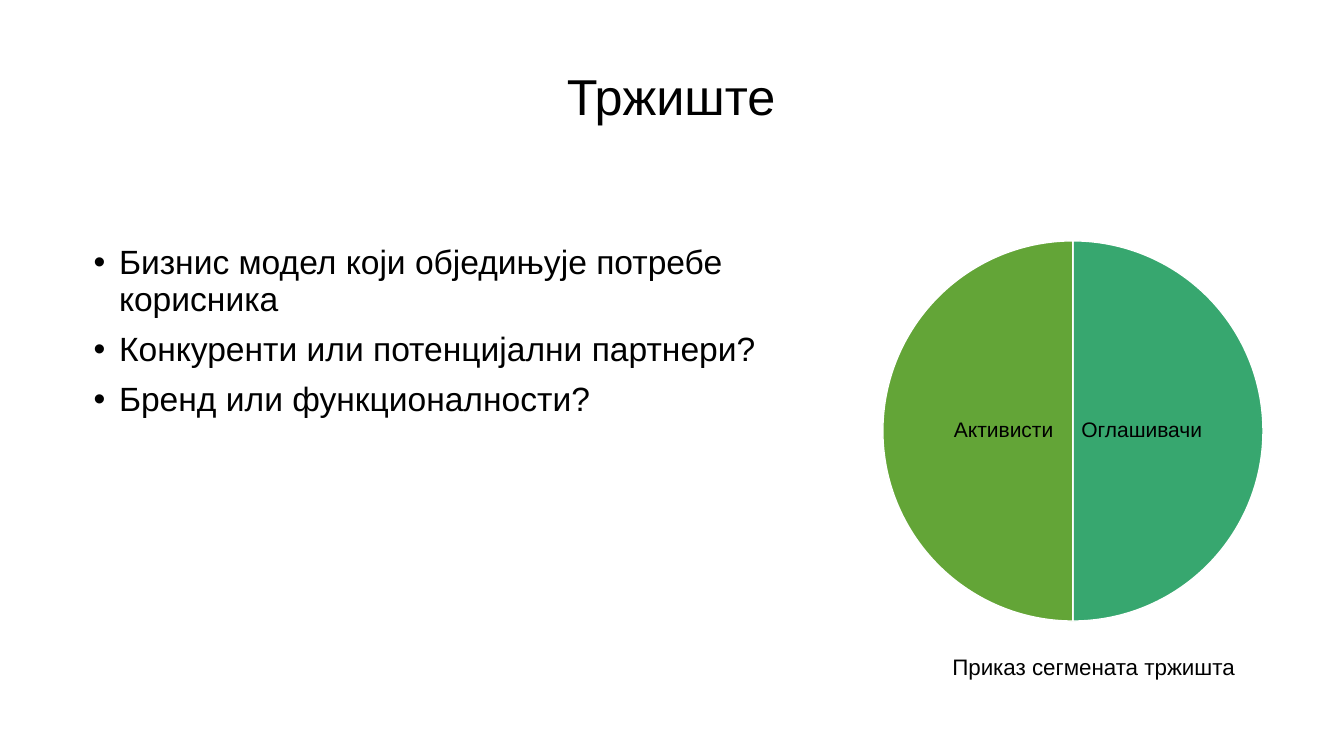
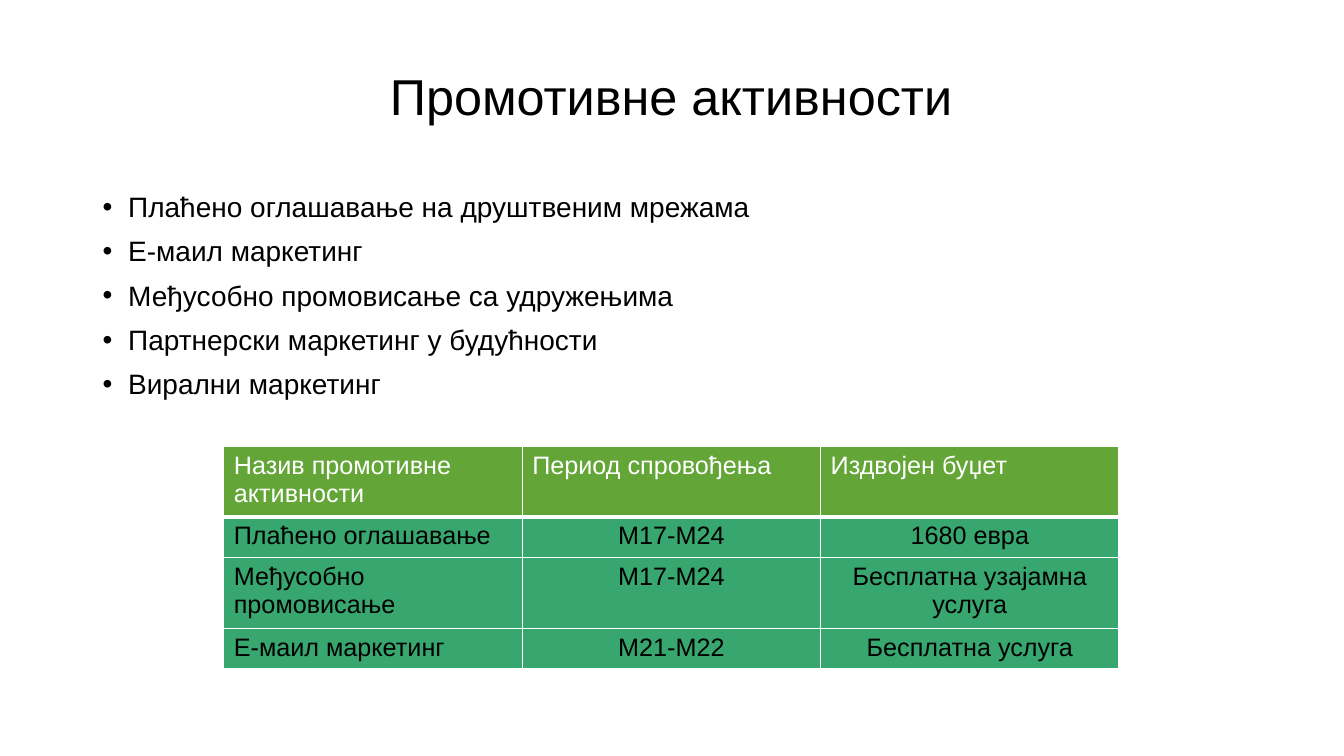
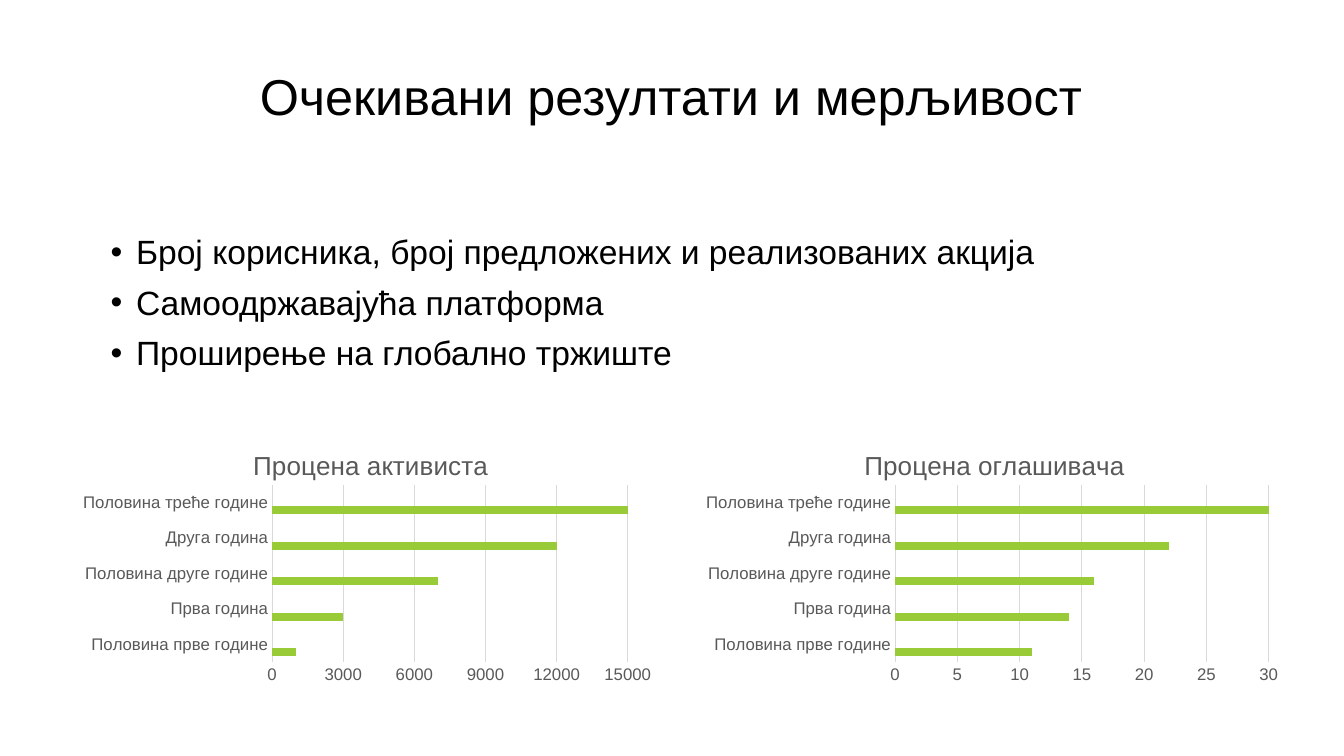
from lxml import etree
from pptx import Presentation, util as u
from pptx.chart.data import CategoryChartData
from pptx.dml.color import RGBColor
from pptx.enum import chart as ch, shapes, text
from pptx.oxml.ns import qn

Cm, Pt = u.Cm, u.Pt

# Shared look
FONT = "Arial"
BLACK = RGBColor(0x00, 0x00, 0x00)
WHITE = RGBColor(0xFF, 0xFF, 0xFF)
LIME = RGBColor(0x99, 0xCB, 0x38)
GREEN = RGBColor(0x63, 0xA5, 0x37)
TEAL = RGBColor(0x37, 0xA7, 0x6F)
AXIS_TEXT = RGBColor(0x59, 0x59, 0x59)
GRID = RGBColor(0xD9, 0xD9, 0xD9)
CENTER = text.PP_ALIGN.CENTER
TITLE_BOX = (2.54, 1.7, 28.75, 3.68)

# Content: title, bullet box (cm), bullet size, bullets
MARKET = ("Тржиште", (2.11, 6.07, 17.98, 10.26), 24, [
    "Бизнис модел који обједињује потребе корисника",
    "Конкуренти или потенцијални партнери?",
    "Бренд или функционалности?",
])
PROMOTION = ("Промотивне активности", (2.34, 4.75, 16.87, 10.26), 20, [
    "Плаћено оглашавање на друштвеним мрежама",
    "Е-маил маркетинг",
    "Међусобно промовисање са удружењима",
    "Партнерски маркетинг у будућности",
    "Вирални маркетинг",
])
RESULTS = ("Очекивани резултати и мерљивост", (2.54, 5.82, 28.75, 10.26), 24, [
    "Број корисника, број предложених и реализованих акција",
    "Самоодржавајућа платформа",
    "Проширење на глобално тржиште",
])

# Label, colour, start and end angle, label left (cm)
SEGMENTS = [
    ("Оглашивачи", TEAL, 162, 54, 27.1),
    ("Активисти", GREEN, 54, 162, 23.62),
]
SEGMENT_CAPTION = "Приказ сегмената тржишта"

CAMPAIGNS = [
    ("Назив промотивне активности", "Период спровођења", "Издвојен буџет"),
    ("Плаћено оглашавање", "М17-М24", "1680 евра"),
    ("Међусобно промовисање", "М17-М24", "Бесплатна узајамна услуга"),
    ("Е-маил маркетинг", "М21-М22", "Бесплатна услуга"),
]
ROW_HEIGHTS = [1.78, 1.02, 1.78, 1.02]
COLUMN_WIDTH = 7.52

PERIODS = ["Половина прве године", "Прва година", "Половина друге године",
           "Друга година", "Половина треће године"]
# Title, title left share, plot width share, values, axis maximum, axis step
FORECASTS = [
    ("Процена активиста", 0.3, 0.6, [1000, 3000, 7000, 12000, 15000], 15000, 3000),
    ("Процена оглашивача", 0.28, 0.63, [11, 14, 16, 22, 30], 30, 5),
]
SERIES_COLORS = [LIME, GREEN, TEAL]


def style_font(font, size, color=BLACK):
    font.name, font.size, font.bold = FONT, Pt(size), False
    font.color.rgb = color


def add_text(slide, box, lines, size, align=None, spacing=None):
    frame = slide.shapes.add_textbox(*map(Cm, box)).text_frame
    frame.word_wrap = True
    frame.text = "\n".join(lines)
    for paragraph in frame.paragraphs:
        paragraph.alignment = align
        paragraph.line_spacing = spacing
        style_font(paragraph.runs[0].font, size)
    return frame


def add_page(deck, title, box, size, bullets):
    slide = deck.slides.add_slide(deck.slide_layouts[6])
    add_text(slide, TITLE_BOX, [title], 36, CENTER, 0.9)
    for paragraph in add_text(slide, box, bullets, size, spacing=0.9).paragraphs:
        paragraph.space_before = Pt(10)
        props = paragraph._p.get_or_add_pPr()
        props.set("marL", str(Cm(0.64)))
        props.set("indent", str(-Cm(0.64)))
        etree.SubElement(props, qn("a:buFont"), typeface=FONT)
        etree.SubElement(props, qn("a:buChar"), char="•")
    return slide


def add_segments(slide):
    for _, color, start, end, _ in SEGMENTS:
        half = slide.shapes.add_shape(shapes.MSO_SHAPE.PIE, Cm(22.25), Cm(6.07),
                                      Cm(9.58), Cm(9.58))
        half.adjustments[0], half.adjustments[1] = start, end
        half.shadow.inherit = False
        half.fill.solid()
        half.fill.fore_color.rgb = color
        half.line.color.rgb = WHITE
        half.line.width = Pt(1)
    for label, _, _, _, left in SEGMENTS:
        frame = add_text(slide, (left, 7.49, 3.35, 6.73), [label], 15, CENTER, 0.9)
        frame.vertical_anchor = text.MSO_ANCHOR.MIDDLE
        frame.margin_left = frame.margin_right = Cm(0.05)
        frame.margin_top = frame.margin_bottom = Cm(0.05)
    add_text(slide, (23.75, 16.33, 8.05, 0.94), [SEGMENT_CAPTION], 16)


def set_borders(cell, top, bottom):
    props = cell._tc.get_or_add_tcPr()
    for side, width in (("L", 1), ("R", 1), ("T", top), ("B", bottom)):
        line = etree.SubElement(props, qn(f"a:ln{side}"), w=str(Pt(width)))
        fill = etree.SubElement(line, qn("a:solidFill"))
        etree.SubElement(fill, qn("a:srgbClr"), val=str(WHITE))


def add_campaigns(slide):
    columns = len(CAMPAIGNS[0])
    table = slide.shapes.add_table(
        len(CAMPAIGNS), columns, Cm(5.64), Cm(11.25),
        Cm(COLUMN_WIDTH * columns), Cm(sum(ROW_HEIGHTS))).table
    table.first_row = table.horz_banding = False
    for column in table.columns:
        column.width = Cm(COLUMN_WIDTH)
    for r, (row, height) in enumerate(zip(CAMPAIGNS, ROW_HEIGHTS)):
        table.rows[r].height = Cm(height)
        for c, value in enumerate(row):
            cell = table.cell(r, c)
            set_borders(cell, 3 if r == 1 else 1, 3 if r == 0 else 1)
            cell.fill.solid()
            cell.fill.fore_color.rgb = TEAL if r else GREEN
            cell.text = value
            paragraph = cell.text_frame.paragraphs[0]
            if r and c:
                paragraph.alignment = CENTER
            style_font(paragraph.runs[0].font, 18, BLACK if r else WHITE)


def place(element, index, inner=False, **shares):
    """Give a chart part a fixed place, as shares of the chart area."""
    for old in element.findall(qn("c:layout")):
        element.remove(old)
    layout = etree.Element(qn("c:layout"))
    element.insert(index, layout)
    manual = etree.SubElement(layout, qn("c:manualLayout"))
    if inner:
        etree.SubElement(manual, qn("c:layoutTarget"), val="inner")
    for axis in "xy":
        etree.SubElement(manual, qn(f"c:{axis}Mode"), val="edge")
    for key, share in shares.items():
        etree.SubElement(manual, qn(f"c:{key}"), val=str(share))


def add_forecast(slide, left, title, title_left, plot_width, values, maximum, step):
    data = CategoryChartData()
    data.categories = PERIODS
    for n in range(len(SERIES_COLORS)):
        data.add_series(f"Series {n + 1}", [None] * len(values) if n else values)
    chart = slide.shapes.add_chart(ch.XL_CHART_TYPE.BAR_CLUSTERED, Cm(left), Cm(10.77),
                                   Cm(14.94), Cm(6.58), data).chart
    style_font(chart.font, 10)
    chart.has_legend = False

    # Title and plot area
    heading = chart.chart_title.text_frame
    heading.text = title
    style_font(heading.paragraphs[0].runs[0].font, 18.6, AXIS_TEXT)
    place(chart.chart_title._element, 1, x=title_left, y=0.06)
    place(chart._chartSpace.find(".//" + qn("c:plotArea")), 0, inner=True,
          x=0.34, y=0.22, w=plot_width, h=0.68)

    # Bars
    plot = chart.plots[0]
    plot.gap_width, plot.overlap, plot.vary_by_categories = 150, 0, False
    for series, color in zip(plot.series, SERIES_COLORS):
        series.format.fill.solid()
        series.format.fill.fore_color.rgb = color

    # Axes
    periods, amounts = chart.category_axis, chart.value_axis
    for axis in (periods, amounts):
        axis.major_tick_mark = axis.minor_tick_mark = ch.XL_TICK_MARK.NONE
        style_font(axis.tick_labels.font, 12, AXIS_TEXT)
    amounts.minimum_scale, amounts.maximum_scale = 0, maximum
    amounts.major_unit = step
    amounts.has_major_gridlines = True
    amounts.format.line.fill.background()
    for line in (periods.format.line, amounts.major_gridlines.format.line):
        line.color.rgb = GRID
        line.width = Pt(0.75)


def main():
    deck = Presentation()
    deck.slide_width, deck.slide_height = Cm(33.87), Cm(19.05)
    add_segments(add_page(deck, *MARKET))
    add_campaigns(add_page(deck, *PROMOTION))
    results = add_page(deck, *RESULTS)
    for n, forecast in enumerate(FORECASTS):
        add_forecast(results, 1.78 + n * 15.7, *forecast)
    deck.save("out.pptx")


if __name__ == "__main__":
    main()
